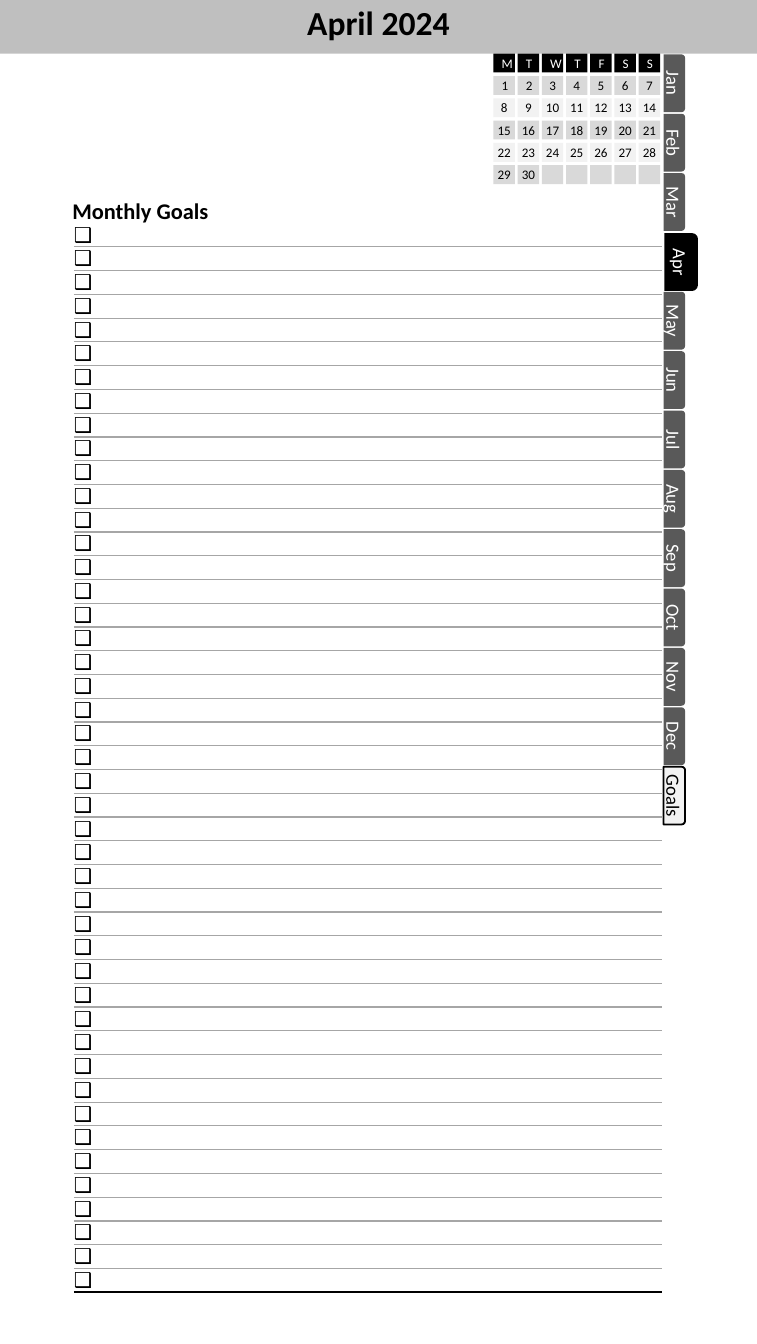
from dataclasses import dataclass

from lxml import etree
from pptx import Presentation
from pptx.dml.color import RGBColor
from pptx.enum.shapes import MSO_SHAPE
from pptx.enum.text import MSO_ANCHOR, PP_ALIGN
from pptx.oxml.ns import qn
from pptx.util import Inches, Pt

RECT = MSO_SHAPE.RECTANGLE
TAB = MSO_SHAPE.ROUND_2_SAME_RECTANGLE
TOP, MIDDLE = MSO_ANCHOR.TOP, MSO_ANCHOR.MIDDLE
CENTER = PP_ALIGN.CENTER

FONT = "Calibri"
BLACK, WHITE = "000000", "FFFFFF"
DARK, SILVER, RULE = "595959", "BFBFBF", "A6A6A6"
SHADED, PALE = "D9D9D9", "F2F2F2"
NO_STYLE = "{2D5ABB26-0587-4C30-8999-92F81FD0307C}"

MONTHS = "Jan Feb Mar Apr May Jun Jul Aug Sep Oct Nov Dec".split()
CURRENT_MONTH = "Apr"
WEEKDAYS = "MTWTFSS"
DAYS_IN_MONTH = 30
WEEKS = 5
GOAL_ROWS = 45
GOALS_HEIGHT = 7.97
TAB_PITCH = 5.3 / 12


@dataclass
class Box:
    left: float
    top: float
    width: float
    height: float
    fill: str
    text: str = ""
    size: float = 7
    color: str = BLACK
    outline: str = ""
    rotation: float = 0
    default_margins: bool = False


def rgb(value: str) -> RGBColor:
    return RGBColor.from_string(value)


def style(paragraph, size: float, color: str = BLACK, bold: bool = False) -> None:
    font = paragraph.font
    font.name, font.size, font.bold = FONT, Pt(size), bold
    font.color.rgb = rgb(color)


def clear_margins(target) -> None:
    target.margin_left = target.margin_right = 0
    target.margin_top = target.margin_bottom = 0


def draw_box(shapes, box: Box, kind=RECT):
    shape = shapes.add_shape(kind, Inches(box.left), Inches(box.top),
                             Inches(box.width), Inches(box.height))
    shape.shadow.inherit = False
    shape.rotation = box.rotation
    shape.fill.solid()
    shape.fill.fore_color.rgb = rgb(box.fill)
    if box.outline:
        shape.line.color.rgb = rgb(box.outline)
        shape.line.width = Pt(1)
    else:
        shape.line.fill.background()
    if box.text:
        frame = shape.text_frame
        if not box.default_margins:
            clear_margins(frame)
        frame.vertical_anchor = MIDDLE
        paragraph = frame.paragraphs[0]
        paragraph.text = box.text
        paragraph.alignment = CENTER
        style(paragraph, box.size, box.color)
    return shape


def draw_header(slide) -> None:
    band = draw_box(slide.shapes, Box(0, 0, 5.63, 0.4, SILVER))
    slide.shapes._spTree.insert(2, band._element)
    title = slide.shapes.title
    title.left, title.top = Inches(1.27), 0
    title.width, title.height = Inches(3.09), Inches(0.4)
    title.text_frame.vertical_anchor = TOP
    heading = title.text_frame.paragraphs[0]
    heading.text = "April 2024"
    heading.alignment = CENTER
    heading.line_spacing = 0.9
    heading.space_before = Pt(5.6)
    style(heading, 18, bold=True)


def rule_below(cell, color: str, width: float) -> None:
    line = etree.Element(qn("a:lnB"), w=str(Pt(width)))
    fill = etree.SubElement(line, qn("a:solidFill"))
    etree.SubElement(fill, qn("a:srgbClr"), val=color)
    cell._tc.get_or_add_tcPr().insert(0, line)


def add_checkbox(paragraph) -> None:
    properties = paragraph._p.get_or_add_pPr()
    properties.set("marL", str(Inches(0.17)))
    properties.set("indent", str(-Inches(0.17)))
    properties.insert(0, etree.Element(qn("a:buSzPct"), val="110000"))
    properties.insert(1, etree.Element(qn("a:buFont"), typeface=FONT))
    properties.insert(2, etree.Element(qn("a:buChar"), char="❑"))


def draw_goals(slide) -> None:
    table = slide.shapes.add_table(GOAL_ROWS, 1, Inches(0.55), Inches(1.66),
                                   Inches(4.37), Inches(GOALS_HEIGHT)).table
    table.first_row = table.horz_banding = False
    table._tbl.tblPr[0].text = NO_STYLE
    for number, row in enumerate(table.rows, 1):
        row.height = Inches(GOALS_HEIGHT / GOAL_ROWS)
        goal = row.cells[0]
        clear_margins(goal)
        goal.vertical_anchor = MIDDLE
        goal.fill.background()
        last = number == GOAL_ROWS
        rule_below(goal, BLACK if last else RULE, 1 if last else 0.75)
        paragraph = goal.text_frame.paragraphs[0]
        paragraph.text = " "
        style(paragraph, 10)
        add_checkbox(paragraph)

    label = slide.shapes.add_textbox(Inches(0.44), Inches(1.42),
                                     Inches(1.23), Inches(0.3))
    label.text_frame.word_wrap = False
    paragraph = label.text_frame.paragraphs[0]
    paragraph.text = "Monthly Goals"
    style(paragraph, 12, bold=True)


def draw_tabs(slide) -> None:
    for index, name in enumerate(MONTHS + ["Goals"]):
        tab = Box(4.8, 0.54 + index * TAB_PITCH, 0.43, 0.16, DARK, name,
                  size=10, color=WHITE, rotation=90)
        if name == CURRENT_MONTH:
            tab.left, tab.height, tab.fill = 4.85, 0.25, BLACK
            tab.top -= 0.04
        elif name == "Goals":
            tab.fill, tab.color, tab.outline = PALE, BLACK, BLACK
        draw_box(slide.shapes, tab, TAB)


def draw_calendar(slide) -> None:
    calendar = slide.shapes.add_group_shape().shapes
    for row in range(WEEKS + 1):
        for column, weekday in enumerate(WEEKDAYS):
            day = (row - 1) * 7 + column + 1
            cell = Box(3.67 + column * 0.18, 0.4 + row * 0.83 / WEEKS,
                       0.16, 0.14, SHADED if row % 2 else PALE,
                       default_margins=day <= 2)
            if row == 0:
                cell.fill, cell.color, cell.text = BLACK, WHITE, weekday
            elif day <= DAYS_IN_MONTH:
                cell.text = str(day)
            draw_box(calendar, cell)


def main() -> None:
    deck = Presentation()
    deck.slide_width, deck.slide_height = Inches(5.63), Inches(10)
    slide = deck.slides.add_slide(deck.slide_layouts[5])
    draw_header(slide)
    draw_goals(slide)
    draw_tabs(slide)
    draw_calendar(slide)
    deck.save("out.pptx")


if __name__ == "__main__":
    main()
